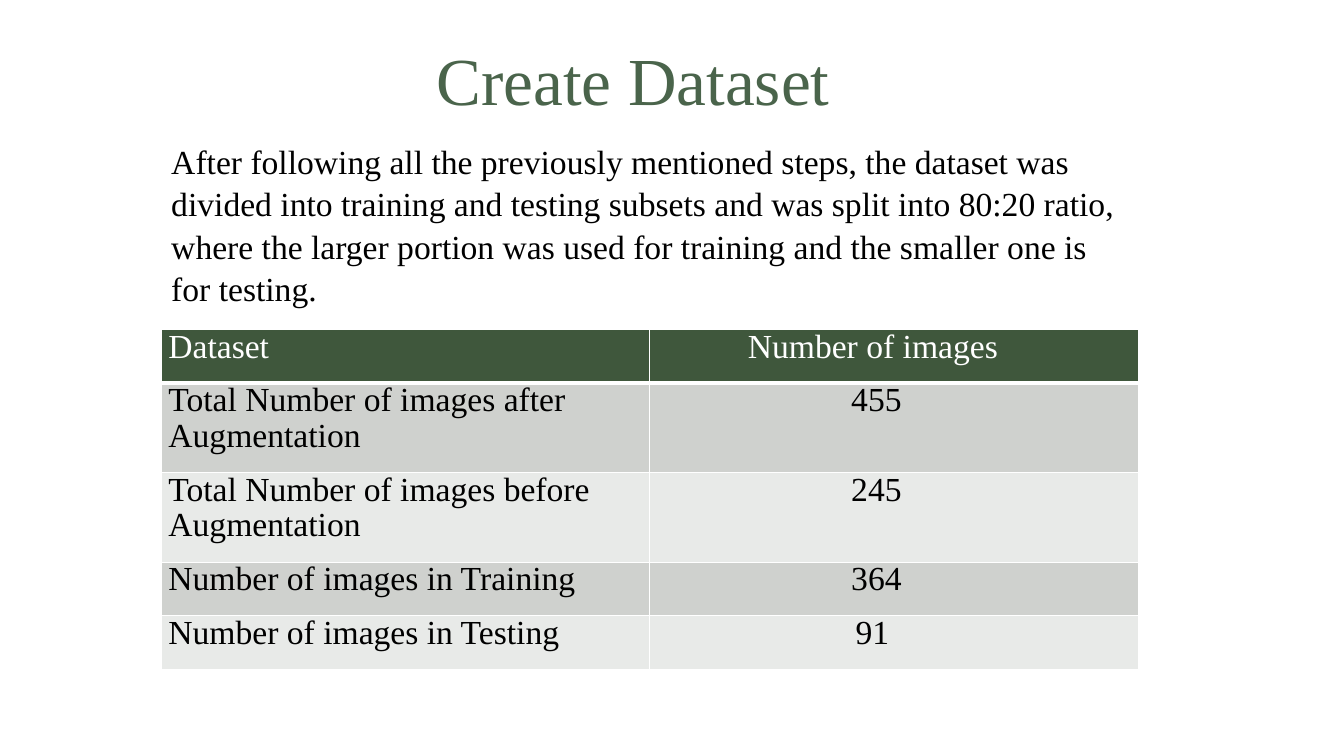
from dataclasses import dataclass

from lxml import etree
from pptx import Presentation
from pptx import util as u
from pptx.dml.color import RGBColor
from pptx.enum import text
from pptx.oxml import ns

FONT = "Times New Roman"
GREEN, WHITE, BLACK = "3F573C", "FFFFFF", "000000"
BANDS = ("CFD1CE", "E8EAE8")
LEFT, WIDTH = 1.6, 9.69


@dataclass
class TextBox:
    left: float
    top: float
    width: float
    height: float
    words: str
    size: float
    color: str
    wrap: bool
    spacing: float


@dataclass
class Row:
    label: str
    value: str
    height: float
    right_indent: float


BOXES = [
    TextBox(4.23, 0.33, 4.14, 0.91, "Create Dataset", 48, "4A644B", False, 1),
    TextBox(LEFT, 1.33, WIDTH, 2.05,
            "After following all the previously mentioned steps, the dataset was "
            "divided into training and testing subsets and was split into 80:20 "
            "ratio, where the larger portion was used for training and the "
            "smaller one is for testing.", 24, BLACK, True, 1.05),
]
ROWS = [
    Row("Dataset", "Number of images", 0.53, 0.49),
    Row("Total Number of images after Augmentation", "455", 0.89, 0.42),
    Row("Total Number of images before Augmentation", "245", 0.89, 0.42),
    Row("Number of images in Training", "364", 0.53, 0.42),
    Row("Number of images in Testing", "91", 0.53, 0.5),
]


def rgb(color: str) -> RGBColor:
    return RGBColor.from_string(color)


def write(tf, words: str, size: float, color: str, spacing: float):
    tf.text = words
    p = tf.paragraphs[0]
    p.line_spacing = spacing
    font = p.runs[0].font
    font.name, font.size = FONT, u.Pt(size)
    font.color.rgb = rgb(color)
    return p


def add_text(s, box: TextBox) -> None:
    sp = s.shapes.add_textbox(u.Inches(box.left), u.Inches(box.top),
                              u.Inches(box.width), u.Inches(box.height))
    tf = sp.text_frame
    tf.word_wrap = box.wrap
    tf.auto_size = text.MSO_AUTO_SIZE.SHAPE_TO_FIT_TEXT
    write(tf, box.words, box.size, box.color, box.spacing)


def set_borders(cell, top: float, bottom: float) -> None:
    tc_pr = cell._tc.get_or_add_tcPr()
    for i, (side, width) in enumerate(
            (("lnL", 1), ("lnR", 1), ("lnT", top), ("lnB", bottom))):
        ln = etree.Element(ns.qn(f"a:{side}"), w=str(u.Pt(width)))
        fill = etree.SubElement(ln, ns.qn("a:solidFill"))
        etree.SubElement(fill, ns.qn("a:srgbClr"), val=WHITE)
        tc_pr.insert(i, ln)


def add_table(s, rows: list[Row]) -> None:
    height = sum(row.height for row in rows)
    table = s.shapes.add_table(len(rows), 2, u.Inches(LEFT), u.Inches(3.27),
                               u.Inches(WIDTH), u.Inches(height)).table
    for i, row in enumerate(rows):
        table.rows[i].height = u.Inches(row.height)
        fill, color = (BANDS[(i - 1) % 2], BLACK) if i else (GREEN, WHITE)
        for j, words in enumerate((row.label, row.value)):
            cell = table.cell(i, j)
            cell.margin_left = cell.margin_right = 0
            cell.margin_top = cell.margin_bottom = 0
            cell.fill.solid()
            cell.fill.fore_color.rgb = rgb(fill)
            set_borders(cell, 3 if i == 1 else 1, 3 if i == 0 else 1)
            p = write(cell.text_frame, words, 24, color, 0.96)
            indents = p._p.get_or_add_pPr()
            indents.set("marL", str(u.Inches(0.07)))
            if j == 1:
                p.alignment = text.PP_ALIGN.CENTER
                indents.set("marR", str(u.Inches(row.right_indent)))


def main() -> None:
    prs = Presentation()
    prs.slide_width, prs.slide_height = u.Inches(13.33), u.Inches(7.5)
    s = prs.slides.add_slide(prs.slide_layouts[6])

    # Title and introduction
    for box in BOXES:
        add_text(s, box)

    # Image counts
    add_table(s, ROWS)
    prs.save("out.pptx")


if __name__ == "__main__":
    main()
